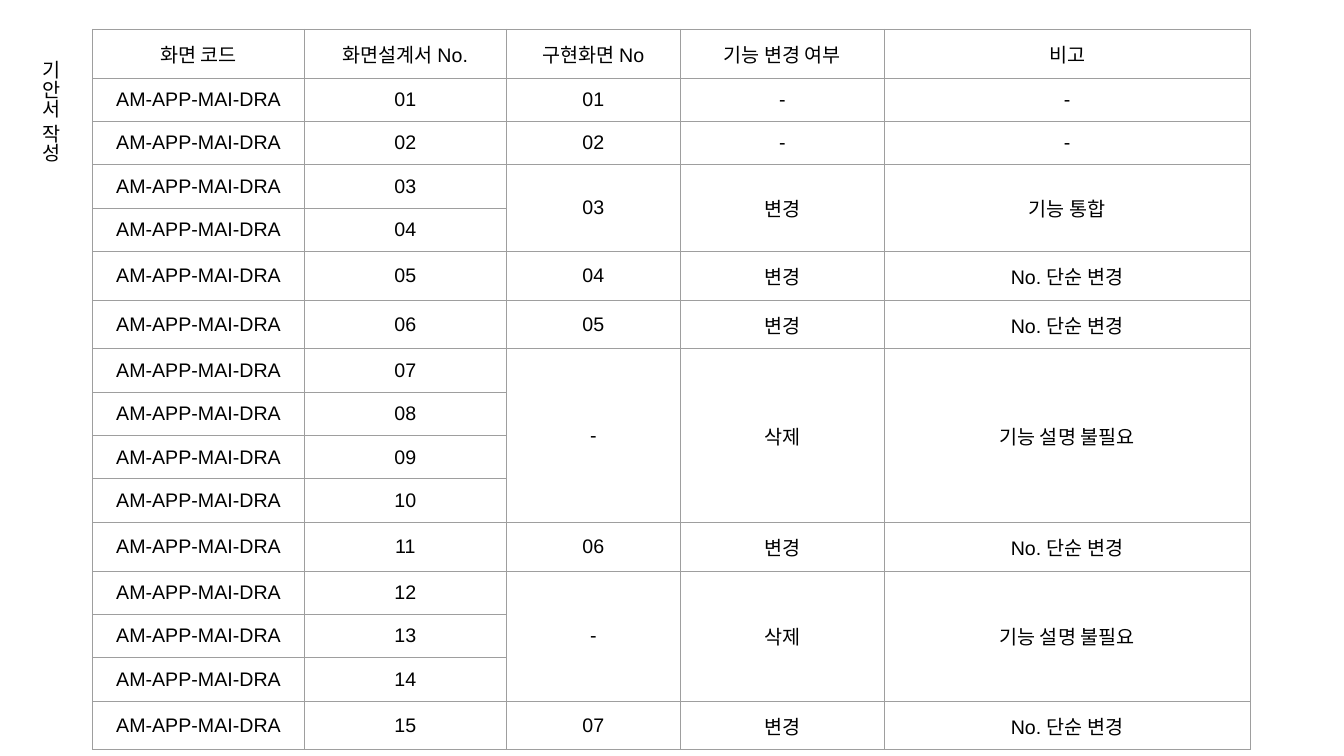
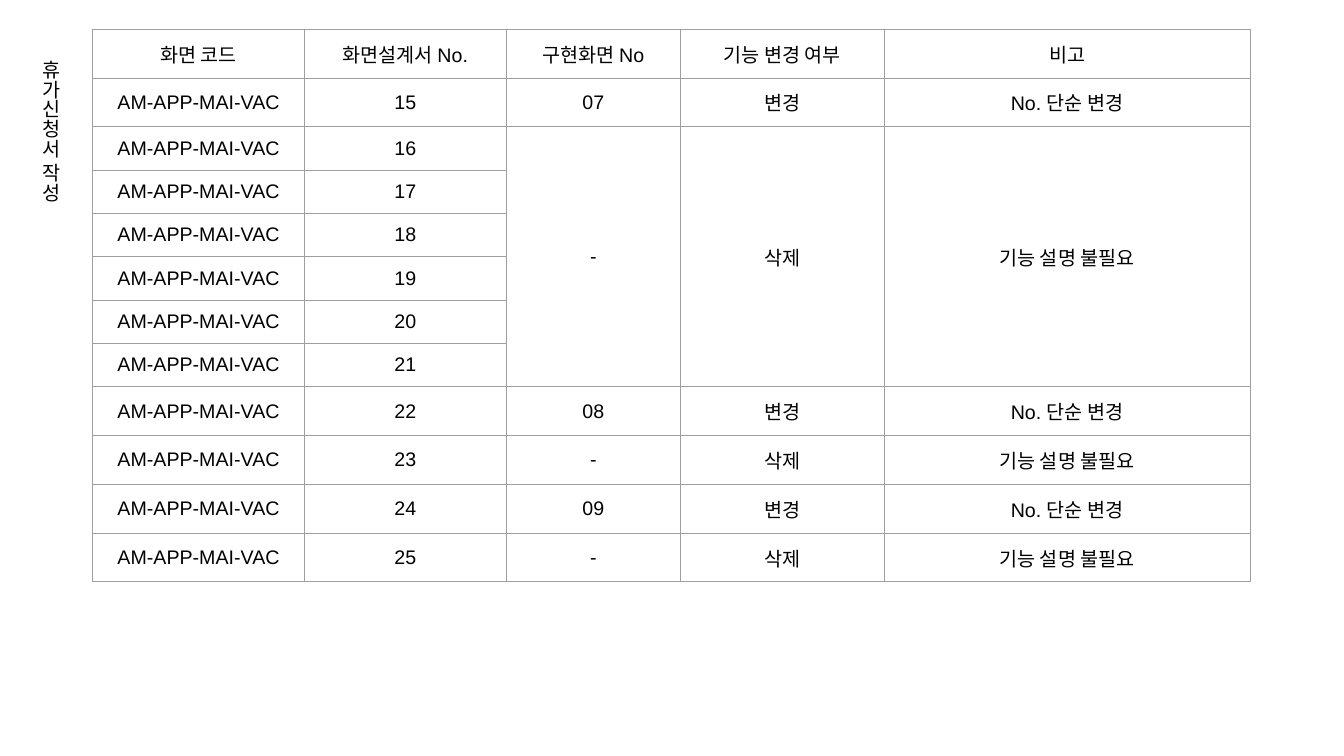
from lxml import etree
from pptx import Presentation
from pptx.dml.color import RGBColor
from pptx.enum.text import MSO_ANCHOR, MSO_AUTO_SIZE, PP_ALIGN
from pptx.oxml.ns import qn
from pptx.util import Inches, Pt

MID, MID_X, FIXED = MSO_ANCHOR.MIDDLE, PP_ALIGN.CENTER, MSO_AUTO_SIZE.NONE
COLORS = {"text": "000000", "rule": "9E9E9E", "page": "FFFFFF"}
FACE, SIZE, RULE = "Arial", Pt(14), Pt(0.75)

# Shared layout, in inches
WIDE, HIGH = 13.33, 7.5
SIDE = (0.23, 0.5, 0.44, 1.63)
GRID = (0.92, 0.29)
COLS = (2.1, 2, 1.73, 2.02, 3.63)
ROW, TALL, PAD = 0.43, 0.48, 0.1

HEAD = ("화면 코드", "화면설계서 No.", "구현화면 No", "기능 변경 여부", "비고")
SAME, MOVED, GONE = ("-", "-"), ("변경", "No. 단순 변경"), ("삭제", "기능 설명 불필요")
JOINED = ("변경", "기능 통합")

# Each group: number of rows, new screen number, (change, remark)
PAGES = [
    ("기안서 작성", "AM-APP-MAI-DRA", 1, [
        (1, "01", SAME), (1, "02", SAME), (2, "03", JOINED),
        (1, "04", MOVED), (1, "05", MOVED), (4, "-", GONE),
        (1, "06", MOVED), (3, "-", GONE), (1, "07", MOVED)]),
    ("휴가신청서 작성", "AM-APP-MAI-VAC", 15, [
        (1, "07", MOVED), (6, "-", GONE), (1, "08", MOVED),
        (1, "-", GONE), (1, "09", MOVED), (1, "-", GONE)]),
]


def write(para, text):
    """Put one run in the shared text style."""
    run = para.add_run()
    run.text = text
    run.font.color.rgb = RGBColor.from_string(COLORS["text"])
    for name, value in {"size": SIZE, "name": FACE}.items():
        setattr(run.font, name, value)


def border(cell):
    """Draw the four sides of a cell; they precede its fill."""
    props = cell._tc.get_or_add_tcPr()
    for spot, side in enumerate("LRTB"):
        line = etree.Element(qn(f"a:ln{side}"), w=str(RULE))
        fill = etree.SubElement(line, qn("a:solidFill"))
        etree.SubElement(fill, qn("a:srgbClr"), val=COLORS["rule"])
        props.insert(spot, line)


def style(cell):
    form = {"vertical_anchor": MID}
    form.update({f"margin_{side}": Inches(PAD)
                 for side in ("left", "right", "top", "bottom")})
    for name, value in form.items():
        setattr(cell, name, value)
    cell.fill.background()
    border(cell)
    para = cell.text_frame.paragraphs[0]
    para.alignment = MID_X
    # Cells under a merge stay empty, yet must not stretch their row
    etree.SubElement(para._p, qn("a:endParaRPr"), sz=str(int(SIZE.pt * 100)))


def fill_row(table, row, texts, first=0):
    for col, text in enumerate(texts, first):
        write(table.cell(row, col).text_frame.paragraphs[0], text)


def heights(groups):
    """Single rows with Korean text are taller, as is the header."""
    rows = [TALL]
    for span, _, result in groups:
        rows += [TALL if span == 1 and result != SAME else ROW] * span
    return rows


def add_grid(slide, left, top, code, start, groups):
    rows = heights(groups)
    count = len(rows)
    frame = slide.shapes.add_table(count, len(COLS), Inches(left), Inches(top),
                                   Inches(sum(COLS)), Inches(sum(rows)))
    table = frame.table
    table.first_row = table.horz_banding = False
    for col, width in zip(table.columns, COLS):
        col.width = Inches(width)
    for row, height in zip(table.rows, rows):
        row.height = Inches(height)
    for cell in table.iter_cells():
        style(cell)

    # Header and screen numbers
    fill_row(table, 0, HEAD)
    for row in range(1, count):
        fill_row(table, row, (code, f"{start + row - 1:02d}"))

    # Grouped results
    row = 1
    for span, number, result in groups:
        fill_row(table, row, (number, *result), 2)
        if span > 1:
            for col in range(2, len(COLS)):
                table.cell(row, col).merge(table.cell(row + span - 1, col))
        row += span


def add_side(slide, box, text):
    """Vertical section name."""
    frame = slide.shapes.add_textbox(*map(Inches, box)).text_frame
    form = {"word_wrap": True, "auto_size": FIXED,
            "margin_top": Inches(PAD), "margin_bottom": 0}
    for name, value in form.items():
        setattr(frame, name, value)
    frame._txBody.bodyPr.set("vert", "eaVert")
    write(frame.paragraphs[0], text)


def add_page(deck, title, code, start, groups):
    slide = deck.slides.add_slide(deck.slide_layouts[6])
    back = slide.background.fill
    back.solid()
    back.fore_color.rgb = RGBColor.from_string(COLORS["page"])
    add_grid(slide, *GRID, code, start, groups)
    add_side(slide, SIDE, title)


def main():
    deck = Presentation()
    deck.slide_width, deck.slide_height = Inches(WIDE), Inches(HIGH)
    for page in PAGES:
        add_page(deck, *page)
    deck.save("out.pptx")


if __name__ == "__main__":
    main()
